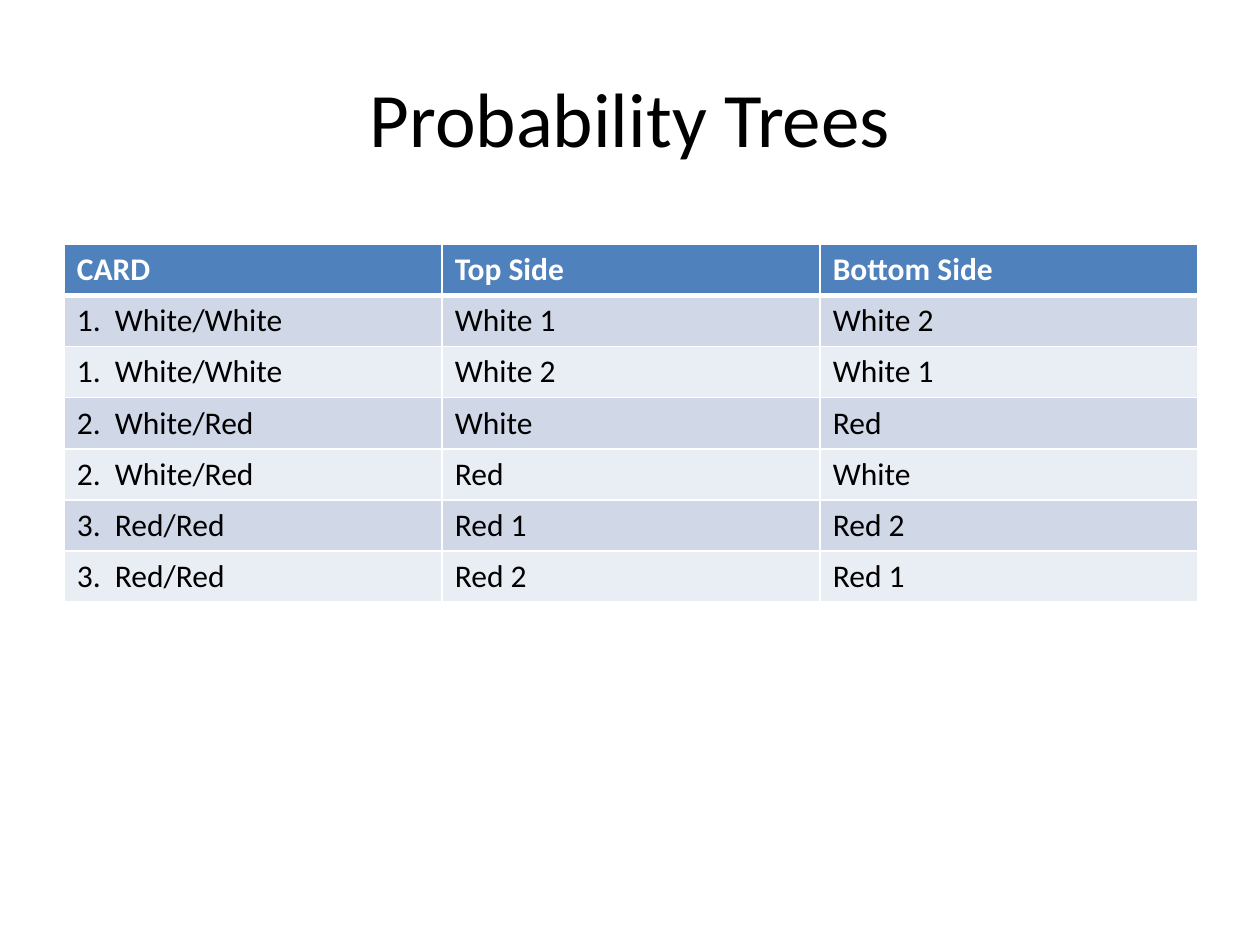
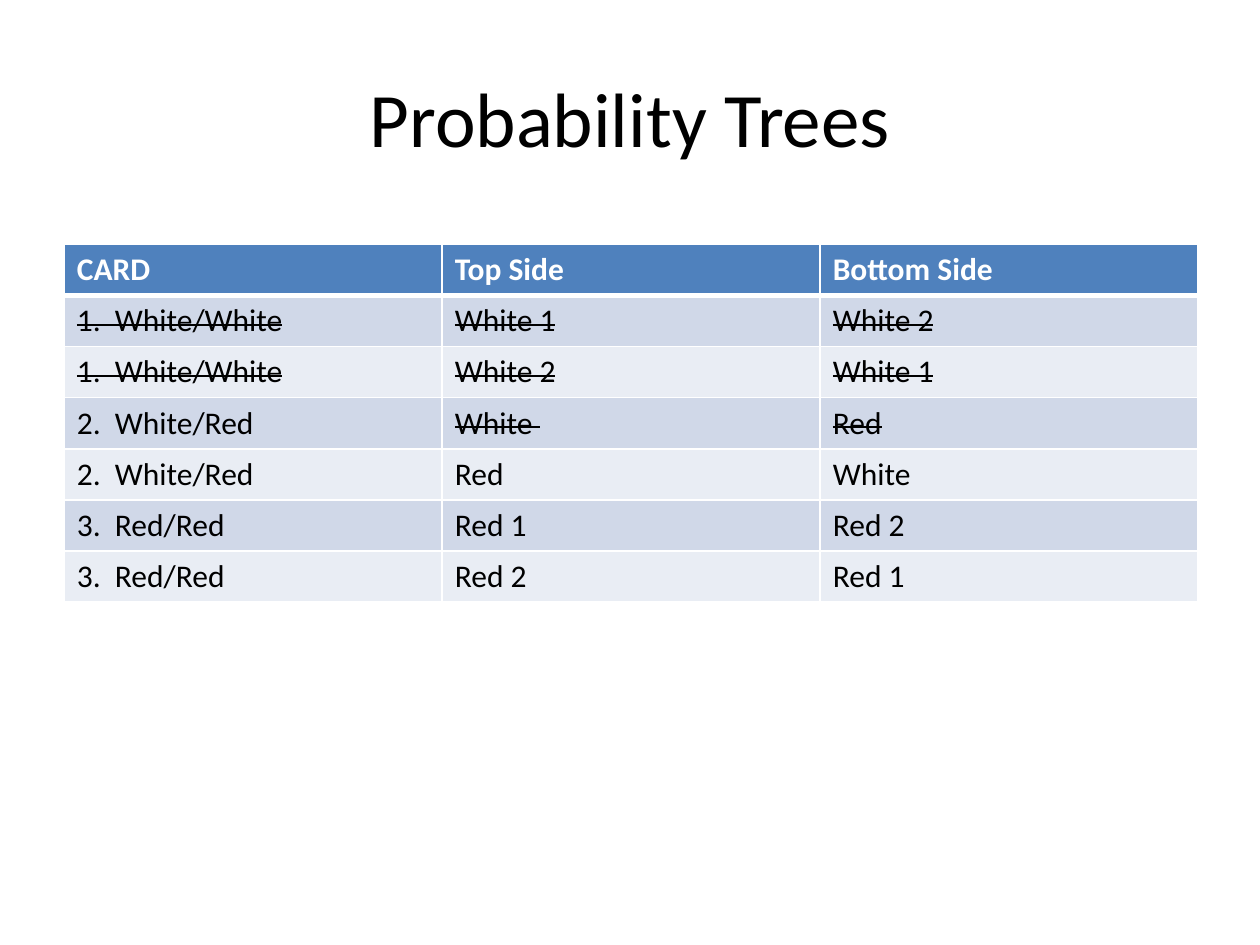
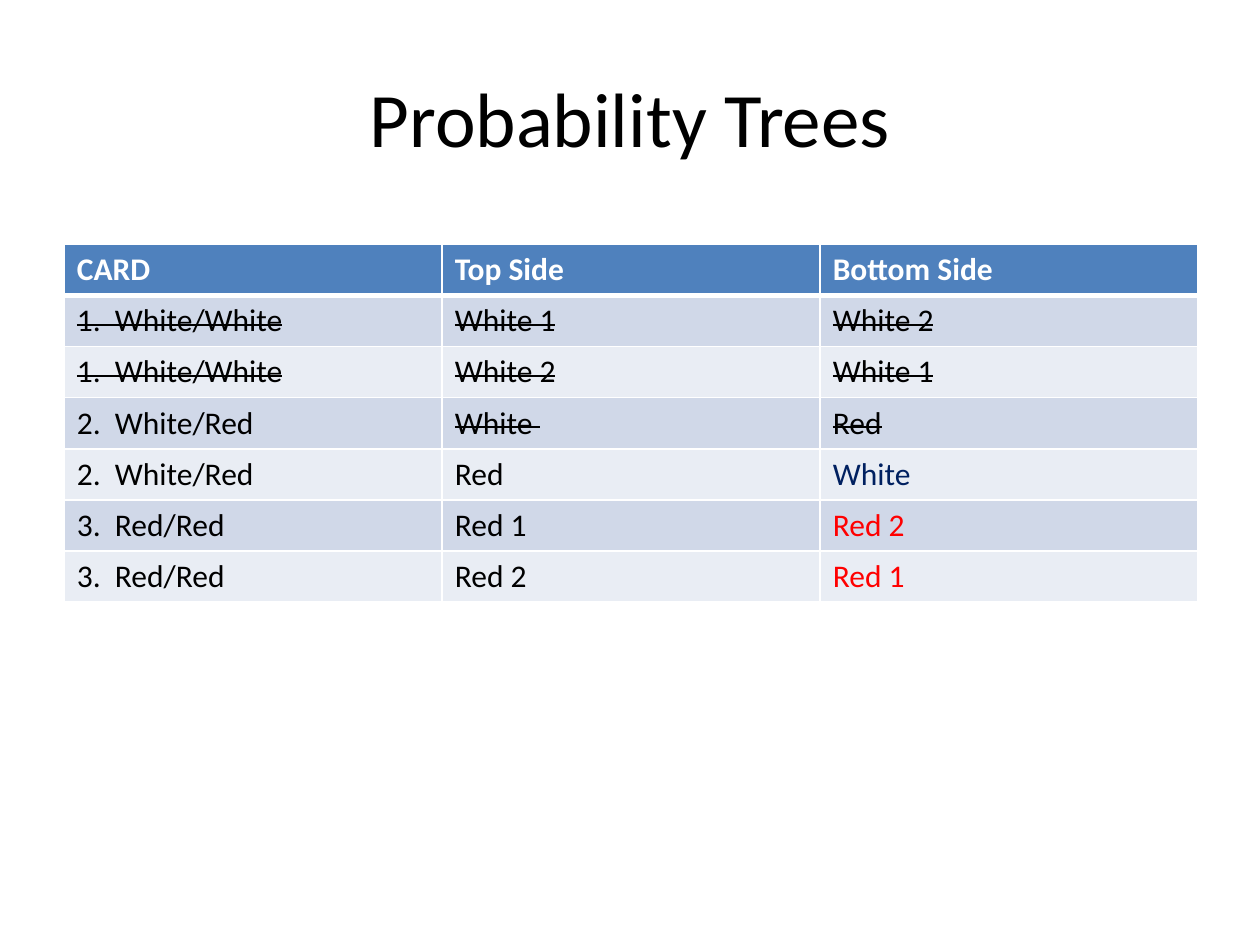
import pptx
import pptx.util
import pptx.dml.color
import pptx.enum.text
import lxml.etree
from pptx.oxml.ns import qn

Inches = pptx.util.Inches
Pt = pptx.util.Pt

TITLE = "Probability Trees"
FONT = "Calibri"
BLACK, WHITE, NAVY, RED = "000000", "FFFFFF", "002060", "FF0000"
HEADER_FILL = "4F81BD"
BAND_FILLS = ("D0D8E8", "E9EDF4")

CARDS = [
    ("CARD", "Top Side", "Bottom Side"),
    ("1.  White/White", "White 1", "White 2"),
    ("1.  White/White", "White 2", "White 1"),
    ("2.  White/Red", "White ", "Red"),
    ("2.  White/Red", "Red", "White"),
    ("3.  Red/Red", "Red 1", "Red 2"),
    ("3.  Red/Red", "Red 2", "Red 1"),
]
RULED_OUT = {(1, 0), (1, 1), (1, 2), (2, 0), (2, 1), (2, 2), (3, 1), (3, 2)}
OUTCOME_COLORS = {(4, 2): NAVY, (5, 2): RED, (6, 2): RED}

SLIDES = [
    {"struck": set(), "colors": {}},
    {"struck": RULED_OUT, "colors": {}},
    {"struck": RULED_OUT, "colors": OUTCOME_COLORS},
]

TABLE_LEFT, TABLE_TOP, TABLE_WIDTH, TABLE_HEIGHT = 0.51, 1.94, 9, 2.84


def rgb(value):
    return pptx.dml.color.RGBColor.from_string(value)


def add_span(para, text, size, color, bold=False, struck=False):
    span = para.add_run()
    span.text = text
    span.font.name = FONT
    span.font.size = Pt(size)
    span.font.bold = bold
    span.font.color.rgb = rgb(color)
    if struck:
        span.font._element.set("strike", "sngStrike")


def set_borders(cell, top, bottom):
    properties = cell._tc.get_or_add_tcPr()
    for side, width in (("L", 1), ("R", 1), ("T", top), ("B", bottom)):
        line = lxml.etree.SubElement(properties, qn("a:ln" + side), w=str(Pt(width)))
        fill = lxml.etree.SubElement(line, qn("a:solidFill"))
        lxml.etree.SubElement(fill, qn("a:srgbClr"), val=WHITE)


def add_title(page):
    box = page.shapes.title
    box.left, box.top = Inches(0.5), Inches(0.3)
    box.width, box.height = Inches(9), Inches(1.25)
    box.text_frame.vertical_anchor = pptx.enum.text.MSO_ANCHOR.MIDDLE
    para = box.text_frame.paragraphs[0]
    para.alignment = pptx.enum.text.PP_ALIGN.CENTER
    add_span(para, TITLE, 44, BLACK)


def add_card_table(page, struck, colors):
    table = page.shapes.add_table(
        len(CARDS), len(CARDS[0]), Inches(TABLE_LEFT), Inches(TABLE_TOP),
        Inches(TABLE_WIDTH), Inches(TABLE_HEIGHT)).table
    for row, card in enumerate(CARDS):
        header = row == 0
        for column, text in enumerate(card):
            cell = table.cell(row, column)
            set_borders(cell, top=3 if row == 1 else 1, bottom=3 if header else 1)
            cell.fill.solid()
            cell.fill.fore_color.rgb = rgb(HEADER_FILL if header else BAND_FILLS[(row - 1) % 2])
            place = (row, column)
            color = WHITE if header else colors.get(place, BLACK)
            add_span(cell.text_frame.paragraphs[0], text, 18, color, header, place in struck)


def main():
    deck = pptx.Presentation()
    deck.slide_width, deck.slide_height = Inches(10), Inches(7.5)
    for content in SLIDES:
        page = deck.slides.add_slide(deck.slide_layouts[5])
        add_title(page)
        add_card_table(page, content["struck"], content["colors"])
    deck.save("out.pptx")


if __name__ == "__main__":
    main()
